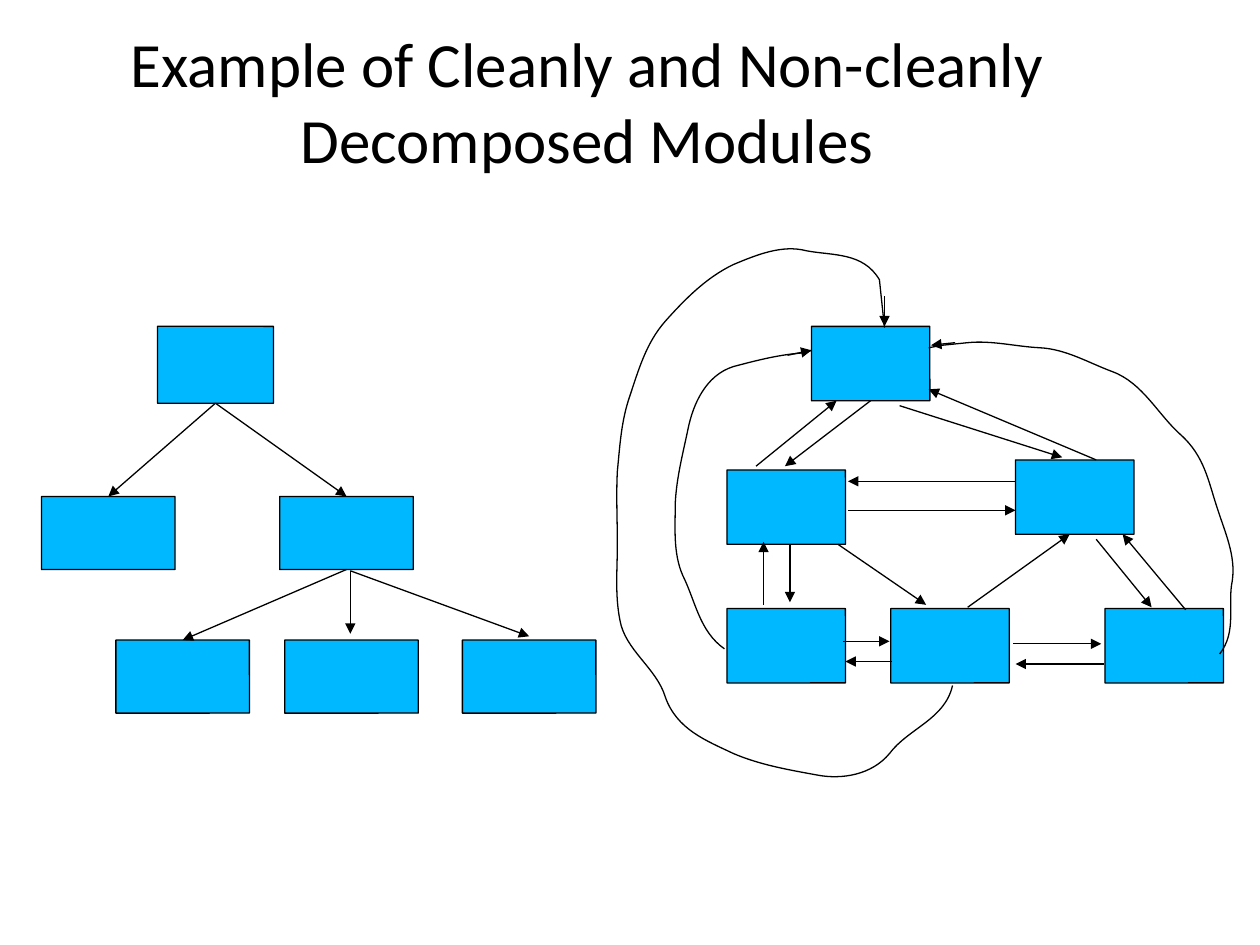
from lxml import etree
from pptx import Presentation
from pptx.dml.color import RGBColor
from pptx.enum.shapes import MSO_CONNECTOR, MSO_SHAPE
from pptx.enum.text import MSO_ANCHOR, PP_ALIGN
from pptx.oxml.ns import qn
from pptx.util import Inches, Pt

STRAIGHT = MSO_CONNECTOR.STRAIGHT
ROUNDED = MSO_SHAPE.ROUNDED_RECTANGLE
MIDDLE, CENTER = MSO_ANCHOR.MIDDLE, PP_ALIGN.CENTER
TOP, BOTTOM = 0, 2

THEME = {
    "font": "Calibri",
    "title_size": Pt(36),
    "ink": RGBColor(0x00, 0x00, 0x00),
    "module": RGBColor(0x00, 0xB8, 0xFF),
    "line_width": Pt(0.75),
}

presentation = Presentation()
presentation.slide_width, presentation.slide_height = Inches(10), Inches(7.5)
slide = presentation.slides.add_slide(presentation.slide_layouts[6])
shapes = slide.shapes

# The slide is a square grid of 100 columns by 75 rows
CELL = presentation.slide_width / 100


def grid(*cells):
    return [round(cell * CELL) for cell in cells]


def add_text(text, left, top, width, height, size, color, align, anchor):
    frame = shapes.add_textbox(*grid(left, top, width, height)).text_frame
    frame.word_wrap = True
    frame.vertical_anchor = anchor
    frame.margin_left = frame.margin_right = 0
    frame.margin_top = frame.margin_bottom = 0
    paragraph = frame.paragraphs[0]
    paragraph.alignment = align
    run = paragraph.add_run()
    run.text = text
    run.font.name, run.font.size = THEME["font"], size
    run.font.color.rgb = color


# Title
add_text("Example of Cleanly and Non-cleanly Decomposed Modules",
         4.1, 1.7, 85, 12.5, size=THEME["title_size"], color=THEME["ink"],
         align=CENTER, anchor=MIDDLE)

# Modules: each size with the left and top of its boxes
module_groups = [
    ((9.2, 6.1), {"root": (12.5, 25.9)}),
    ((10.6, 5.8), {
        "branch left": (3.3, 39.4), "branch right": (22.2, 39.4),
        "leaf left": (9.2, 50.8), "leaf middle": (22.6, 50.8),
        "leaf right": (36.7, 50.8),
    }),
    ((9.4, 5.9), {
        "hub": (64.4, 25.9),
        "east": (80.6, 36.5), "west": (57.7, 37.3),
        "south west": (57.7, 48.3), "south": (70.7, 48.3),
        "south east": (87.7, 48.3),
    }),
]
modules = {}
for size, places in module_groups:
    for name, place in places.items():
        module = shapes.add_shape(ROUNDED, *grid(*place, *size))
        module.adjustments[0] = 0.003
        module.shadow.inherit = False
        module.fill.solid()
        module.fill.fore_color.rgb = THEME["module"]
        module.line.color.rgb = THEME["ink"]
        module.line.width = THEME["line_width"]
        modules[name] = module

# Arrows: an end is a (module, side) joint or a (column, row) point
arrows = [
    # clean tree
    (("root", BOTTOM), ("branch left", TOP)),
    (("root", BOTTOM), ("branch right", TOP)),
    (("branch right", BOTTOM), ("leaf left", TOP)),
    ((27.8, 45.3), (27.8, 50.3)),
    ((27.8, 45.3), (42, 50.5)),
    # hub with west and east
    (("hub", BOTTOM), (62.3, 37)),
    ((60, 37), (66.4, 31.8)),
    ((71.4, 32.2), (84.3, 36.3)),
    ((87, 36.5), (73.7, 30.9)),
    # west with east
    ((67.3, 40.5), (80.6, 40.5)),
    ((80.6, 38.2), (67.3, 38.2)),
    # middle row with bottom row
    ((62.7, 43.2), (62.7, 47.8)),
    ((60.6, 48), (60.6, 43)),
    ((66.5, 43.2), (73.5, 48)),
    ((76.8, 48.2), (84.9, 42.4)),
    ((87, 42.8), (91.4, 48.2)),
    ((94.1, 48.4), (89.1, 42.4)),
    # along the bottom row
    ((66.9, 50.9), (70.6, 50.9)),
    ((70.8, 52.5), (67.1, 52.5)),
    ((80.4, 51.1), (87.4, 51.1)),
    ((87.6, 52.7), (80.6, 52.7)),
    # heads of the three curves
    ((62.5, 28.2), (64.4, 27.8)),
    ((75.8, 27.2), (73.9, 27.4)),
    ((70.2, 23.5), (70.2, 25.9)),
]
for start, end in arrows:
    start_joined, end_joined = start[0] in modules, end[0] in modules
    start_point = (0, 0) if start_joined else start
    end_point = (0, 0) if end_joined else end
    arrow = shapes.add_connector(STRAIGHT, *grid(*start_point, *end_point))
    if start_joined:
        arrow.begin_connect(modules[start[0]], start[1])
    if end_joined:
        arrow.end_connect(modules[end[0]], end[1])
    arrow.line.color.rgb = THEME["ink"]
    arrow.line.width = THEME["line_width"]
    etree.SubElement(arrow.line._get_or_add_ln(), qn("a:tailEnd"), type="triangle")
    etree.SubElement(arrow.element.spPr, qn("a:effectLst"))

# Curves: start, Bezier triples (two controls and an end), closing straight points
curves = [
    # south west to hub
    ((57.5, 51.5), [
        (55.5, 50.1), (55.2, 47.7), (54.2, 45.7),
        (53.4, 43.9), (53.6, 41.8), (53.6, 39.9),
        (53.7, 37.9), (54.2, 36), (54.6, 34.1),
        (55, 32.1), (56, 29.8), (58.2, 29.1),
        (60.1, 28.6), (62, 28.1), (64, 28),
    ], [(64.4, 27.8)]),
    # south east to hub
    ((96.8, 51.9), [
        (98.2, 50.1), (97.4, 48), (97.8, 46.1),
        (98.1, 44.1), (97.2, 42.2), (96.6, 40.3),
        (95.9, 38.2), (95.6, 36.2), (93.7, 34.5),
        (91.9, 32.9), (90.7, 30.4), (88.3, 29.5),
        (86.4, 28.8), (84.6, 27.7), (82.5, 27.6),
        (80.6, 27.5), (78.7, 27), (76.8, 27.2),
    ], [(74.8, 27.4), (73.7, 27.6)]),
    # south to hub, around the west
    ((75.6, 54.4), [
        (75, 57.1), (72.1, 57.8), (70.6, 59.8),
        (69.2, 61.5), (66.8, 61.9), (64.8, 61.5),
        (62.6, 61.1), (60.3, 60.7), (58.2, 59.8),
        (56.1, 58.8), (53.7, 57.9), (52.8, 55.3),
        (52.1, 53), (49.6, 51.6), (49.2, 49.2),
        (48.8, 47.2), (49, 45.2), (49, 43.2),
        (49, 41.3), (48.9, 39.3), (49, 37.4),
        (49.2, 35.4), (49.3, 33.4), (50, 31.4),
        (50.7, 29.3), (51.3, 27.2), (52.8, 25.5),
        (54.4, 23.7), (56.1, 22), (58.2, 21),
        (60.1, 20.2), (62.1, 19.4), (64, 19.9),
        (66.1, 20.3), (68.5, 20), (69.8, 22.2),
    ], [(70, 24.1), (70.2, 26)]),
]
for start, bezier_points, straight_points in curves:
    builder = shapes.build_freeform(*grid(*start))
    builder.add_line_segments(
        [grid(*point) for point in bezier_points + straight_points], close=False)
    curve = builder.convert_to_shape()
    curve.shadow.inherit = False
    curve.fill.background()
    curve.line.color.rgb = THEME["ink"]
    curve.line.width = THEME["line_width"]
    # Gather each three segments into one Bezier segment
    segments = list(curve.element.iter(qn("a:lnTo")))[:len(bezier_points)]
    for first, second, third in zip(segments[::3], segments[1::3], segments[2::3]):
        first.tag = qn("a:cubicBezTo")
        for segment in (second, third):
            first.append(segment[0])
            segment.getparent().remove(segment)

presentation.save("out.pptx")
